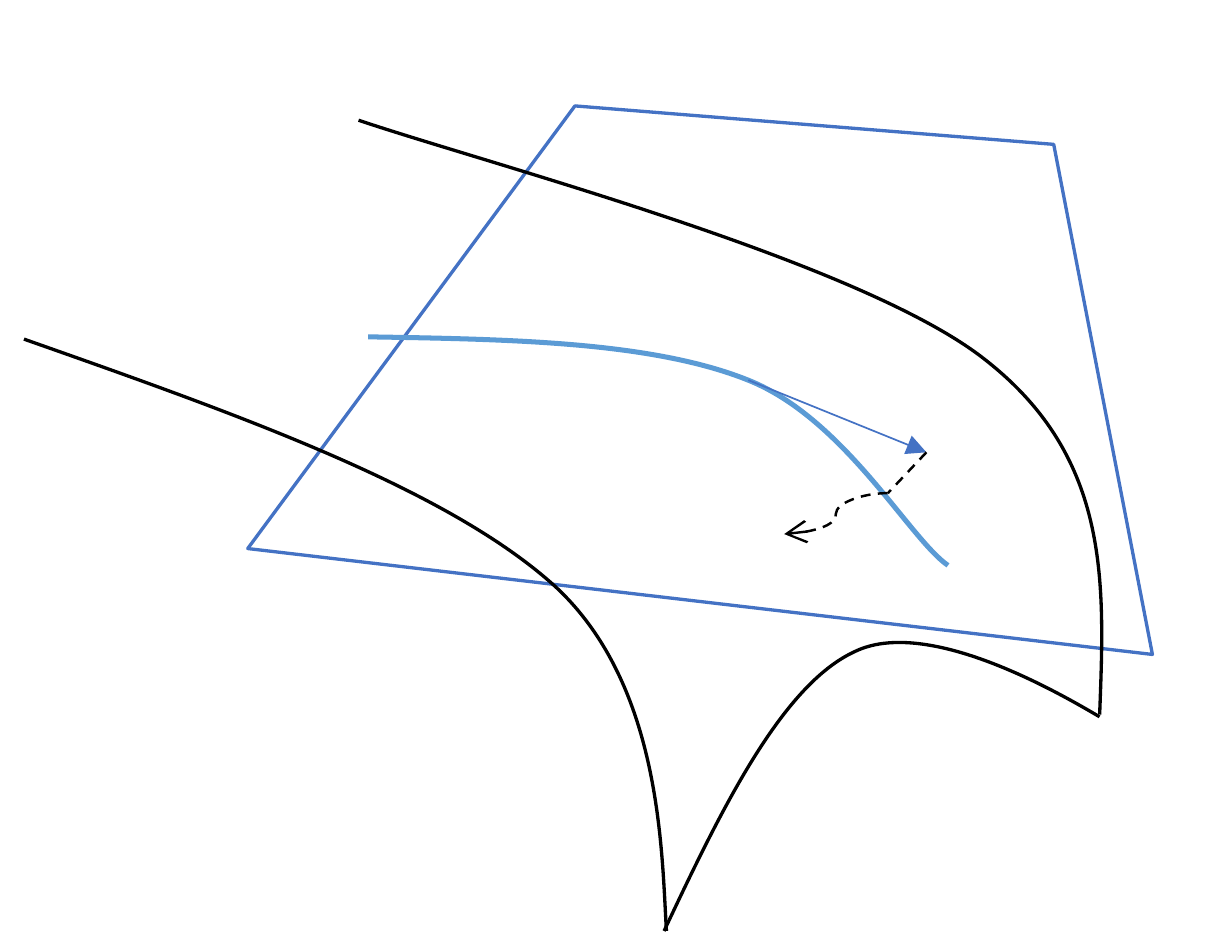
from pptx import Presentation, util as u
from pptx.dml.color import RGBColor
from pptx.enum import dml, shapes
from pptx.oxml.ns import qn
from lxml import etree

WHITE = RGBColor(0xFF, 0xFF, 0xFF)
BLACK = RGBColor(0x00, 0x00, 0x00)
BLUE = RGBColor(0x44, 0x72, 0xC4)
LIGHT_BLUE = RGBColor(0x5B, 0x9B, 0xD5)
CELL = u.Inches(0.01)
COLUMNS, ROWS = 512, 394

deck = Presentation()
deck.slide_width, deck.slide_height = COLUMNS * CELL, ROWS * CELL
page = deck.slides.add_slide(deck.slide_layouts[6])


def on_grid(points):
    return [(column * CELL, row * CELL) for column, row in points]


def format_line(shape, color, values):
    shape.line.color.rgb = color
    for name, value in values.items():
        setattr(shape.line, name, value)


plane_corners = on_grid([(239, 44), (103, 228), (479, 272), (438, 60)])
plane_builder = page.shapes.build_freeform(*plane_corners[0])
plane_builder.add_line_segments(plane_corners[1:], close=True)
plane = plane_builder.convert_to_shape()
plane.shadow.inherit = False
plane.fill.solid()
plane.fill.fore_color.rgb = WHITE
format_line(plane, BLUE, {"width": u.Pt(1)})

trajectory = [(153, 140), (212, 141), (271, 142), (311, 158), (351, 174), (378, 224), (394, 235)]
left_edge = [(10, 141), (98, 172), (186, 203), (231, 244), (275, 285), (275, 354), (277, 387)]
lower_edge = [(276, 387), (300, 336), (325, 285), (355, 271), (385, 256), (440, 288), (457, 298)]
right_edge = [(457, 297), (459, 243), (462, 191), (410, 150), (359, 109), (202, 68), (149, 50)]
curves = [
    (trajectory, LIGHT_BLUE, 1.5),
    (left_edge, BLACK, 1),
    (lower_edge, BLACK, 1),
    (right_edge, BLACK, 1),
]
for grid_points, color, width in curves:
    points = on_grid(grid_points)
    builder = page.shapes.build_freeform(*points[0])
    builder.add_line_segments(points[3::3], close=False)
    curve = builder.convert_to_shape()
    curve.shadow.inherit = False
    curve.fill.background()
    format_line(curve, color, {"width": u.Pt(width)})
    segments = list(curve.element.iter(qn("a:lnTo")))
    for index, segment in enumerate(segments):
        segment.tag = qn("a:cubicBezTo")
        for place, (x, y) in enumerate(points[3 * index + 1:3 * index + 3]):
            control = etree.Element(qn("a:pt"), x=str(x - curve.left), y=str(y - curve.top))
            segment.insert(place, control)

STRAIGHT = shapes.MSO_CONNECTOR.STRAIGHT
CURVED = shapes.MSO_CONNECTOR.CURVE
DASHED = {"width": u.Pt(0.75), "dash_style": dml.MSO_LINE.DASH}
connectors = [
    (STRAIGHT, [(311, 158), (385, 188)], BLUE, {"width": u.Pt(0.5)}, "triangle"),
    (STRAIGHT, [(385, 188), (369, 205)], BLACK, DASHED, None),
    (CURVED, [(369, 205), (326, 222)], BLACK, DASHED, "arrow"),
]
for kind, ends, color, values, arrowhead in connectors:
    begin, end = on_grid(ends)
    connector = page.shapes.add_connector(kind, *begin, *end)
    format_line(connector, color, values)
    properties = connector.element.spPr
    if arrowhead:
        etree.SubElement(properties.find(qn("a:ln")), qn("a:tailEnd"), type=arrowhead)
    etree.SubElement(properties, qn("a:effectLst"))

deck.save("out.pptx")
